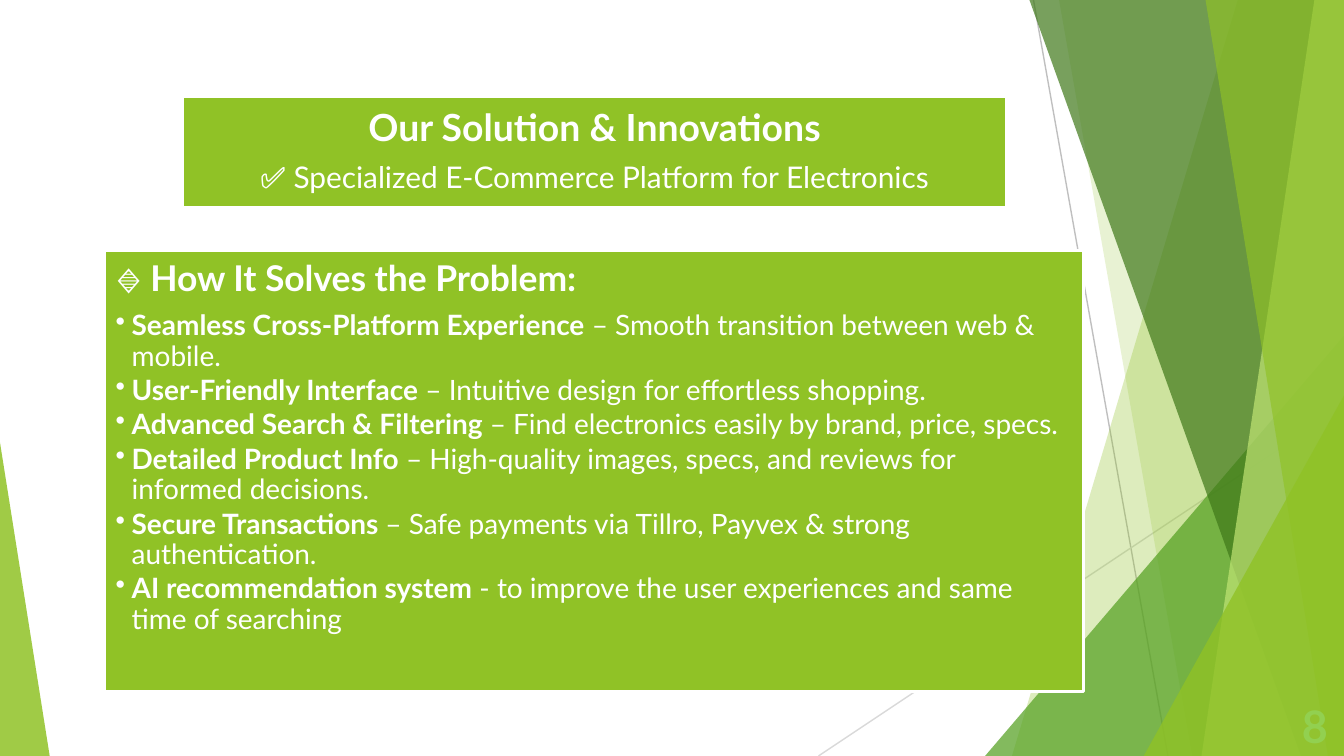
from lxml import etree
from pptx import Presentation
from pptx.dml.color import RGBColor
from pptx.enum.shapes import MSO_CONNECTOR, MSO_SHAPE
from pptx.enum.text import MSO_ANCHOR, PP_ALIGN
from pptx.oxml.ns import qn
from pptx.util import Inches, Pt

STRAIGHT = MSO_CONNECTOR.STRAIGHT
RECTANGLE, TRIANGLE = MSO_SHAPE.RECTANGLE, MSO_SHAPE.ISOSCELES_TRIANGLE
TOP, MIDDLE = MSO_ANCHOR.TOP, MSO_ANCHOR.MIDDLE
LEFT, CENTER, RIGHT = PP_ALIGN.LEFT, PP_ALIGN.CENTER, PP_ALIGN.RIGHT
FONT = "Lato"
COLORS = {
    "lime": "90C226", "green": "54A021", "forest": "3F7819", "pale": "C0E474",
    "white": "FFFFFF", "grey": "BFBFBF", "silver": "D9D9D9", "number": "92D050",
}
BANDS = [
    (92.1, 75.3, "lime", 30),
    (78.8, 88.7, "lime", 20),
    (76.6, 96.8, "forest", 70),
    (97.8, 89.4, "pale", 70),
    (89.7, 98.8, "lime", 65),
]
BENEFITS = [
    ("Seamless Cross-Platform Experience ", "– Smooth transition between web & mobile."),
    ("User-Friendly Interface", " – Intuitive design for effortless shopping."),
    ("Advanced Search & Filtering ", "– Find electronics easily by brand, price, specs."),
    ("Detailed Product Info", " – High-quality images, specs, and reviews for informed decisions."),
    ("Secure Transactions ", "– Safe payments via Tillro, Payvex & strong authentication."),
    ("AI recommendation system", " - to improve the user experiences and same time of searching"),
]


class SlideBuilder:
    """Draws styled elements on one slide, with lengths in percent of its size."""

    def __init__(self, presentation):
        self.width = presentation.slide_width
        self.height = presentation.slide_height
        self.slide = presentation.slides.add_slide(presentation.slide_layouts[6])
        self.shapes = self.slide.shapes

    def x(self, share):
        return round(self.width * share / 100)

    def y(self, share):
        return round(self.height * share / 100)

    def box(self, left, top, width, height):
        return self.x(left), self.y(top), self.x(width), self.y(height)

    def color(self, name):
        return RGBColor.from_string(COLORS[name])

    def fill(self, shape, color, opacity=100):
        shape.shadow.inherit = False
        shape.fill.solid()
        shape.fill.fore_color.rgb = self.color(color)
        shape.line.fill.background()
        if opacity < 100:
            node = shape.fill._xPr.find(qn("a:solidFill"))[0]
            etree.SubElement(node, qn("a:alpha"), val=str(opacity * 1000))

    def line(self, start, end, color):
        connector = self.shapes.add_connector(
            STRAIGHT, self.x(start[0]), self.y(start[1]), self.x(end[0]), self.y(end[1]))
        connector.line.color.rgb = self.color(color)
        connector.line.width = Pt(0.75)
        etree.SubElement(connector._element.spPr, qn("a:effectLst"))

    def band(self, top_x, bottom_x, color, opacity):
        builder = self.shapes.build_freeform(self.x(top_x), 0)
        corners = [(100, 0), (100, 100), (bottom_x, 100)]
        builder.add_line_segments([(self.x(x), self.y(y)) for x, y in corners])
        self.fill(builder.convert_to_shape(), color, opacity)

    def triangle(self, left, top, width, apex, color, opacity):
        shape = self.shapes.add_shape(TRIANGLE, *self.box(left, top, width, 100 - top))
        shape.adjustments[0] = apex
        self.fill(shape, color, opacity)

    def panel(self, left, top, width, height, anchor):
        shape = self.shapes.add_shape(RECTANGLE, *self.box(left, top, width, height))
        self.fill(shape, "lime")
        shape.line.color.rgb = self.color("white")
        shape.line.width = Pt(1.5)
        return self.frame(shape, anchor, 0.08)

    def frame(self, shape, anchor, inset):
        frame = shape.text_frame
        frame.word_wrap = True
        frame.vertical_anchor = anchor
        frame.margin_left = frame.margin_right = Inches(inset)
        frame.margin_top = frame.margin_bottom = Inches(inset)
        return frame

    def paragraph(self, frame, runs, size, after=0.35, align=LEFT, color="white", bullet=False):
        first = frame.paragraphs[0]
        paragraph = frame.add_paragraph() if first.runs else first
        paragraph.alignment = align
        paragraph.line_spacing = 0.9
        paragraph.space_after = Pt(round(size * after, 2))
        if bullet:
            properties = paragraph._p.get_or_add_pPr()
            properties.set("marL", str(Inches(0.12)))
            properties.set("indent", str(-Inches(0.12)))
            etree.SubElement(properties, qn("a:buChar"), char="•")
        paragraph.font.name = FONT
        paragraph.font.size = Pt(size)
        paragraph.font.color.rgb = self.color(color)
        for text, bold in runs:
            run = paragraph.add_run()
            run.text = text
            run.font.bold = bold

    def page_number(self, text, left, top, width, height):
        shape = self.shapes.add_textbox(*self.box(left, top, width, height))
        frame = self.frame(shape, MIDDLE, 0)
        self.paragraph(frame, [(text, True)], 24, 0, RIGHT, "number")


def main():
    presentation = Presentation()
    presentation.slide_width, presentation.slide_height = Inches(10), Inches(5.625)
    builder = SlideBuilder(presentation)

    builder.line((76.9, 0), (86.9, 100), "grey")
    builder.line((100, 53.7), (60.9, 100), "silver")
    for band in BANDS[:2]:
        builder.band(*band)
    builder.triangle(73.3, 44.4, 26.7, 1, "green", 72)
    for band in BANDS[2:]:
        builder.band(*band)
    builder.triangle(85.1, 52.3, 14.9, 1, "lime", 80)
    builder.triangle(0, 58.5, 3.7, 0, "lime", 85)

    heading = builder.panel(13.6, 12.8, 61.3, 14.7, MIDDLE)
    builder.paragraph(heading, [("Our Solution & Innovations", True)], 20, align=CENTER)
    builder.paragraph(
        heading, [("✅ Specialized E-Commerce Platform for Electronics", False)], 16, align=CENTER)

    body = builder.panel(7.8, 33.1, 72.8, 58.4, TOP)
    builder.paragraph(body, [("🔹 How It Solves the Problem:", True)], 19)
    for benefit, detail in BENEFITS:
        builder.paragraph(body, [(benefit, True), (detail, False)], 15, 0.15, bullet=True)

    builder.page_number("8", 93, 93, 5.8, 7)
    presentation.save("out.pptx")


if __name__ == "__main__":
    main()
